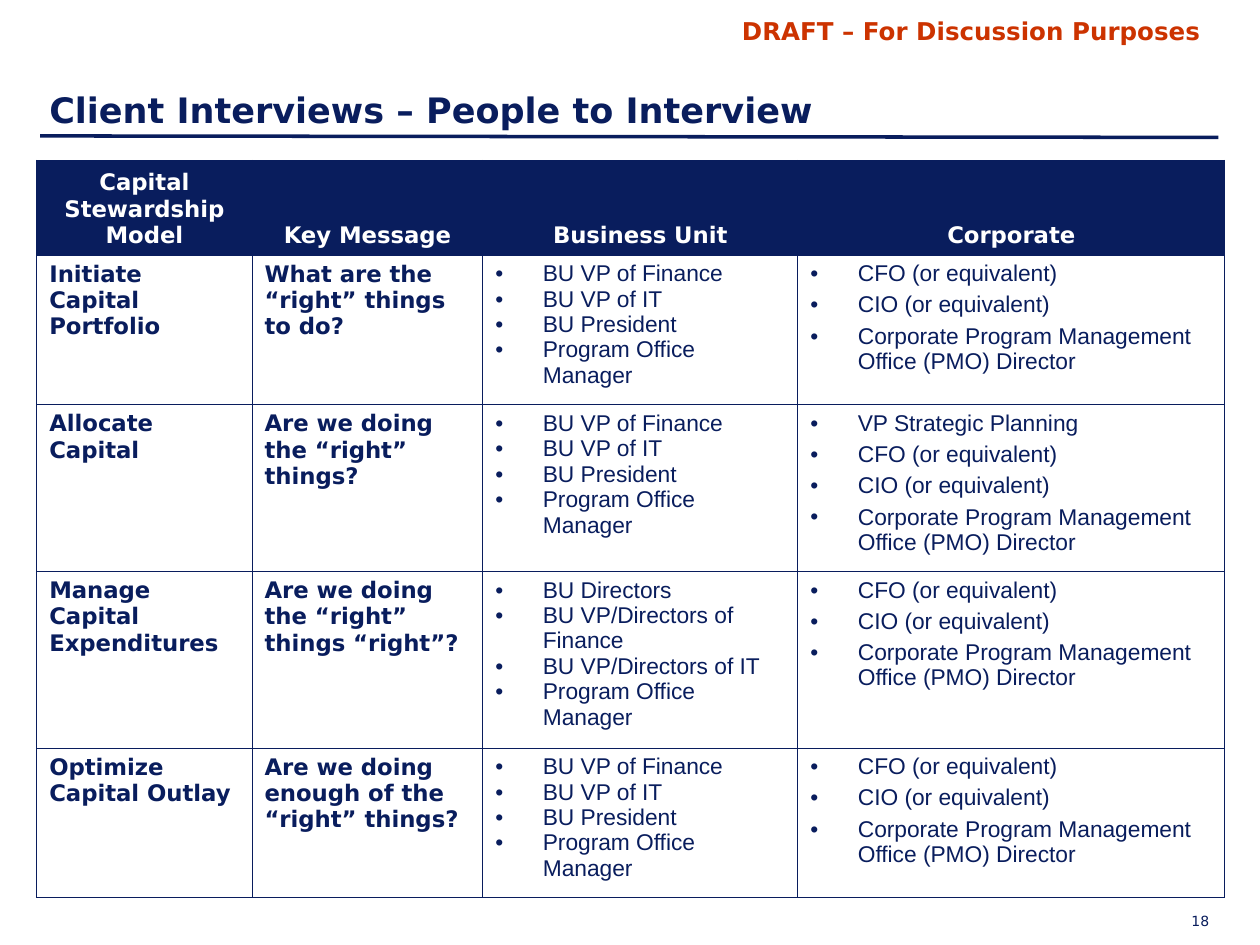
from lxml.etree import SubElement
from pptx import Presentation
from pptx.dml.color import RGBColor
from pptx.enum.shapes import MSO_CONNECTOR
from pptx.enum.text import MSO_ANCHOR, MSO_AUTO_SIZE, PP_ALIGN
from pptx.oxml.ns import qn
from pptx.util import Cm, Pt

NAVY, RED, WHITE = "091D5D", "CC3300", "FFFFFF"
HEADING_FONT, BODY_FONT = "DejaVu Sans", "Arial"


def color(hex_code):
    return RGBColor.from_string(hex_code)


def write_text(frame, *lines, size=13, font=HEADING_FONT, fill=NAVY, bold=True,
               align=PP_ALIGN.LEFT, bullet=False, space_after=0):
    """Fill a text frame with one paragraph per line, all in one format."""
    frame.word_wrap = True
    for index, line in enumerate(lines):
        paragraph = frame.add_paragraph() if index else frame.paragraphs[0]
        paragraph.alignment = align
        paragraph.space_after = Pt(space_after)
        if bullet:
            properties = paragraph._p.get_or_add_pPr()
            properties.set("marL", str(Cm(0.96)))
            properties.set("indent", str(-Cm(0.96)))
            bullet_color = SubElement(properties, qn("a:buClr"))
            SubElement(bullet_color, qn("a:srgbClr"), val=fill)
            SubElement(properties, qn("a:buFont"), typeface=font)
            SubElement(properties, qn("a:buChar"), char="•")
        run = paragraph.add_run()
        run.text = line
        run.font.size = Pt(size)
        run.font.name = font
        run.font.bold = bold
        run.font.color.rgb = color(fill)


presentation = Presentation()
presentation.slide_width, presentation.slide_height = Cm(25.4), Cm(19.05)
slide = presentation.slides.add_slide(presentation.slide_layouts[5])

# Title, rule, draft stamp and page number
title = slide.shapes.title
title.left, title.top, title.width, title.height = Cm(0.74), Cm(0.64), Cm(23.95), Cm(2.11)
title.text_frame.auto_size = MSO_AUTO_SIZE.NONE
title.text_frame.vertical_anchor = MSO_ANCHOR.BOTTOM
write_text(title.text_frame, "Client Interviews – People to Interview", size=20)

rule = slide.shapes.add_connector(MSO_CONNECTOR.STRAIGHT, Cm(0.81), Cm(2.74), Cm(24.56), Cm(2.77))
rule.line.color.rgb = color(NAVY)
rule.line.width = Pt(2)
SubElement(rule._element.spPr, qn("a:effectLst"))

draft_stamp = slide.shapes.add_textbox(Cm(14.4), Cm(0.2), Cm(10.36), Cm(0.86))
write_text(draft_stamp.text_frame, "DRAFT – For Discussion Purposes", size=14, fill=RED,
           align=PP_ALIGN.CENTER)

page_number = slide.shapes.add_textbox(Cm(21.84), Cm(18.39), Cm(2.54), Cm(0.38))
page_frame = page_number.text_frame
page_frame.margin_left = page_frame.margin_right = 0
page_frame.margin_top = page_frame.margin_bottom = 0
write_text(page_frame, "18", size=8, bold=False, align=PP_ALIGN.RIGHT)

# Interview table
headers = ["Capital Stewardship Model", "Key Message", "Business Unit", "Corporate"]
unit_leaders = ["BU VP of Finance", "BU VP of IT", "BU President", "Program Office Manager"]
unit_directors = ["BU Directors", "BU VP/Directors of Finance", "BU VP/Directors of IT",
                  "Program Office Manager"]
corporate = ["CFO (or equivalent)", "CIO (or equivalent)",
             "Corporate Program Management Office (PMO) Director"]
stages = [
    ("Initiate Capital Portfolio", "What are the “right” things to do?", unit_leaders, corporate),
    ("Allocate Capital", "Are we doing the “right” things?", unit_leaders,
     ["VP Strategic Planning"] + corporate),
    ("Manage Capital Expenditures", "Are we doing the “right” things “right”?",
     unit_directors, corporate),
    ("Optimize Capital Outlay", "Are we doing enough of the “right” things?",
     unit_leaders, corporate),
]
column_widths = [4.34, 4.65, 6.35, 8.61]
row_heights = [1.9, 3.02, 3.35, 3.56, 3.02]

table = slide.shapes.add_table(
    len(row_heights), len(column_widths), Cm(0.74), Cm(3.23),
    Cm(sum(column_widths)), Cm(sum(row_heights))).table
table.first_row = table.horz_banding = False
for column, width in zip(table.columns, column_widths):
    column.width = Cm(width)
for row, height in zip(table.rows, row_heights):
    row.height = Cm(height)

for cell in table.iter_cells():
    cell_properties = cell._tc.get_or_add_tcPr()
    for side in ("a:lnL", "a:lnR", "a:lnT", "a:lnB"):
        border = SubElement(cell_properties, qn(side), w=str(Pt(0.45)))
        SubElement(SubElement(border, qn("a:solidFill")), qn("a:srgbClr"), val=NAVY)
    cell.fill.background()

for column_index, header in enumerate(headers):
    cell = table.cell(0, column_index)
    cell.fill.solid()
    cell.fill.fore_color.rgb = color(NAVY)
    cell.vertical_anchor = MSO_ANCHOR.BOTTOM
    write_text(cell.text_frame, header, fill=WHITE, align=PP_ALIGN.CENTER)

for row_index, (stage, message, unit_people, corporate_people) in enumerate(stages, start=1):
    stage_cell, message_cell, unit_cell, corporate_cell = table.rows[row_index].cells
    write_text(stage_cell.text_frame, stage)
    write_text(message_cell.text_frame, message)
    write_text(unit_cell.text_frame, *unit_people, font=BODY_FONT, bold=False, bullet=True)
    write_text(corporate_cell.text_frame, *corporate_people, font=BODY_FONT, bold=False,
               bullet=True, space_after=3.3)

presentation.save("out.pptx")
